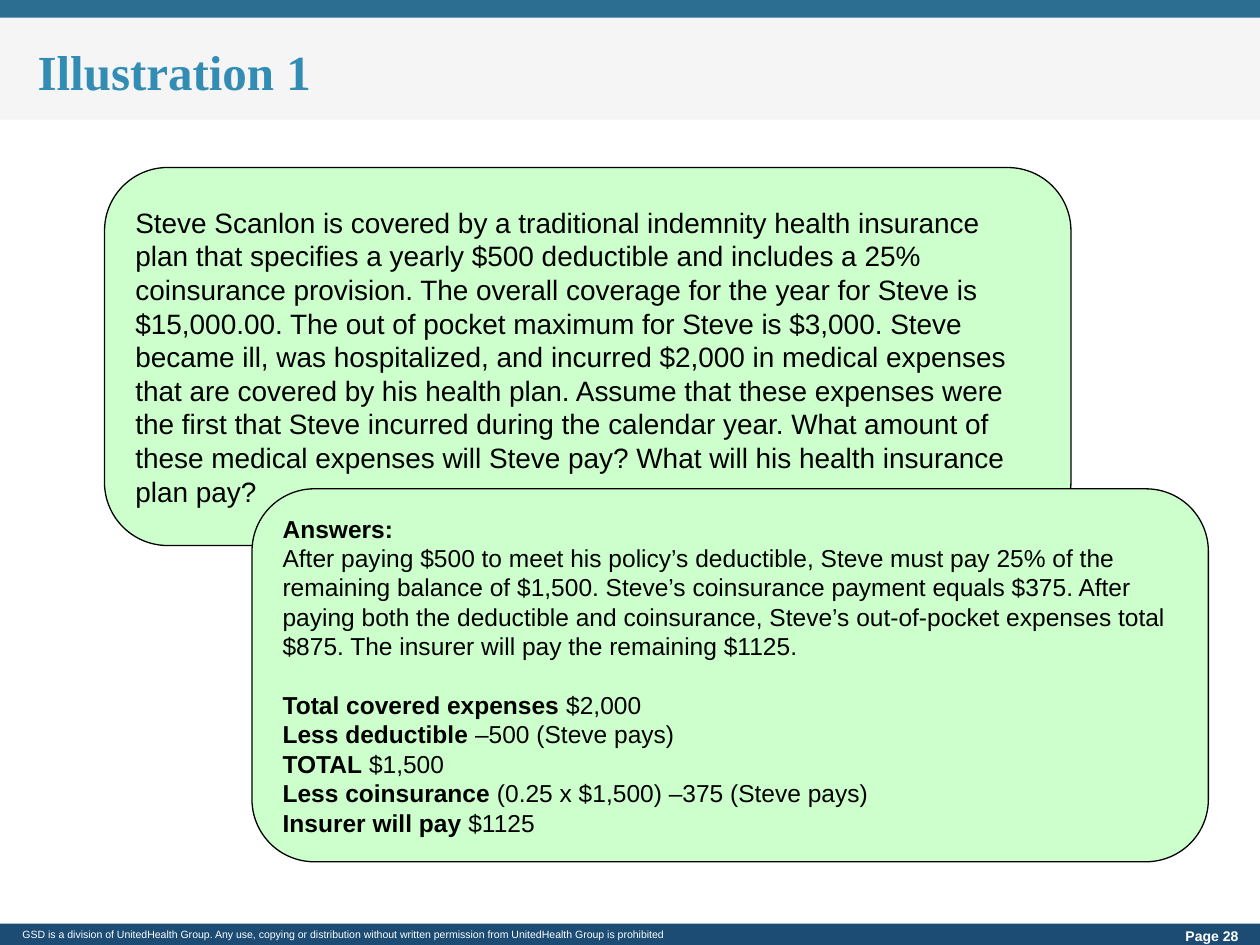
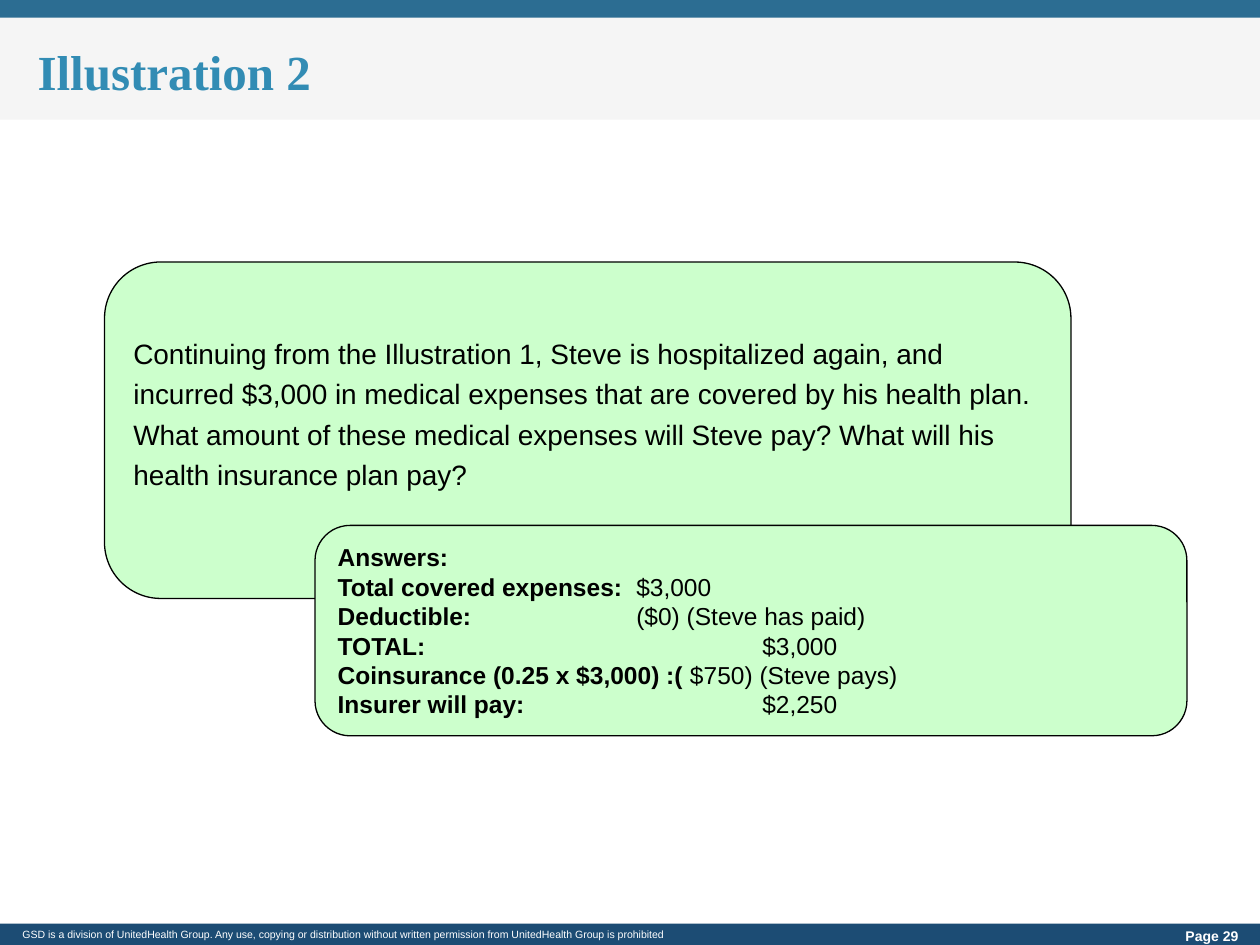
from lxml import etree
from pptx import Presentation
from pptx.dml.color import RGBColor
from pptx.enum.shapes import MSO_SHAPE as SHAPE
from pptx.enum.text import MSO_ANCHOR as ANCHOR, PP_ALIGN as ALIGN
from pptx.oxml.ns import qn
from pptx.util import Inches, Pt

# Content: answer rows are (bold text, plain text, tab stop, space before)
FOOTER = ("GSD is a division of UnitedHealth Group. Any use, copying or distribution "
          "without written permission from UnitedHealth Group is prohibited")
SLIDES = [
    {
        "title": "Illustration 1",
        "page": 28,
        "question_box": (0.83, 1.33, 7.67, 3),
        "question_bottom": 0.05,
        "question": [
            "Steve Scanlon is covered by a traditional indemnity health insurance plan "
            "that specifies a yearly $500 deductible and includes a 25% coinsurance "
            "provision. The overall coverage for the year for Steve is $15,000.00. The "
            "out of pocket maximum for Steve is $3,000. Steve became ill, was "
            "hospitalized, and incurred $2,000 in medical expenses that are covered by "
            "his health plan. Assume that these expenses were the first that Steve "
            "incurred during the calendar year. What amount of these medical expenses "
            "will Steve pay? What will his health insurance plan pay?",
        ],
        "answer_box": (2, 3.88, 7.59, 2.96),
        "answers": [
            ("Answers:", "", None, 0),
            ("", "After paying $500 to meet his policy’s deductible, Steve must pay 25% "
             "of the remaining balance of $1,500. Steve’s coinsurance payment equals "
             "$375. After paying both the deductible and coinsurance, Steve’s "
             "out-of-pocket expenses total $875. The insurer will pay the remaining "
             "$1125.", None, 0),
            ("Total covered expenses", " $2,000", None, 16.7),
            ("Less deductible", " –500 (Steve pays)", None, 0),
            ("TOTAL", " $1,500", None, 0),
            ("Less coinsurance", " (0.25 x $1,500) –375 (Steve pays)", None, 0),
            ("Insurer will pay", " $1125", None, 0),
        ],
    },
    {
        "title": "Illustration 2",
        "page": 29,
        "question_box": (0.83, 2.08, 7.67, 2.67),
        "question_bottom": 0.31,
        "question": [
            "Continuing from the Illustration 1, Steve is hospitalized again, and",
            "incurred $3,000 in medical expenses that are covered by his health plan.",
            "What amount of these medical expenses will Steve pay? What will his",
            "health insurance plan pay?",
        ],
        "answer_box": (2.5, 4.17, 6.92, 1.67),
        "answers": [
            ("Answers:", "", None, 0),
            ("Total covered expenses:\t", "$3,000", 2.37, 0),
            ("Deductible:\t", "($0) (Steve has paid)", 2.37, 0),
            ("TOTAL:\t", "$3,000", 3.37, 0),
            ("Coinsurance (0.25 x $3,000) :(", " $750) (Steve pays)", None, 0),
            ("Insurer will pay:\t", "$2,250", 3.37, 0),
        ],
    },
]

# Shared style
WHITE = RGBColor(0xFF, 0xFF, 0xFF)
BLACK = RGBColor(0, 0, 0)
TITLE_BLUE = RGBColor(0x32, 0x8C, 0xB4)
CARD_GREEN = RGBColor(0xCC, 0xFF, 0xCC)
BANDS = [  # top, height, colour
    (0, 0.95, RGBColor(0xF5, 0xF5, 0xF5)),
    (0, 0.14, RGBColor(0x2C, 0x6D, 0x92)),
    (7.33, 0.17, RGBColor(0x1C, 0x4C, 0x74)),
]


def style(p, size, color, font="Arial", bold=None):
    p.font.size, p.font.name, p.font.bold = Pt(size), font, bold
    p.font.color.rgb = color


def add_filled(slide, kind, box, fill):
    sp = slide.shapes.add_shape(kind, *map(Inches, box))
    sp.shadow.inherit = False
    sp.fill.solid()
    sp.fill.fore_color.rgb = fill
    sp.line.fill.background()
    return sp


def add_label(slide, box, text, size, color, font="Arial", bold=None,
              anchor=ANCHOR.TOP):
    tf = slide.shapes.add_textbox(*map(Inches, box)).text_frame
    tf.word_wrap, tf.vertical_anchor = True, anchor
    tf.text = text
    style(tf.paragraphs[0], size, color, font, bold)


def add_card(slide, box, rows, size, gap=0, bottom=0.05):
    """Rounded green card; each row is bold text, plain text, tab stop, space before."""
    sp = add_filled(slide, SHAPE.ROUNDED_RECTANGLE, box, CARD_GREEN)
    sp.adjustments[0] = 0.167
    sp.line.color.rgb, sp.line.width = BLACK, Pt(0.75)
    tf = sp.text_frame
    tf.word_wrap, tf.vertical_anchor = True, ANCHOR.MIDDLE
    tf.margin_bottom = Inches(bottom)
    for i, (strong, plain, tab, before) in enumerate(rows):
        p = tf.add_paragraph() if i else tf.paragraphs[0]
        p.alignment = ALIGN.LEFT
        if i:
            p.space_before = Pt(before + gap)
        if tab:
            tabs = etree.SubElement(p._p.get_or_add_pPr(), qn("a:tabLst"))
            etree.SubElement(tabs, qn("a:tab"), pos=str(Inches(tab)), algn="l")
        style(p, size, BLACK)
        for text, bold in ((strong, True), (plain, False)):
            if text:
                r = p.add_run()
                r.text, r.font.bold = text, bold


def add_frame(slide, title, page):
    for top, height, color in BANDS:
        add_filled(slide, SHAPE.RECTANGLE, (0, top, 10, height), color)
    add_label(slide, (0.08, 7.32, 8.03, 0.2), FOOTER, 6, WHITE)
    add_label(slide, (9.31, 7.31, 0.85, 0.27), f"Page {page}", 8, WHITE, bold=True)
    add_label(slide, (0.2, 0.23, 7.88, 0.66), title, 28, TITLE_BLUE,
              "Times New Roman", True, ANCHOR.MIDDLE)


def main():
    prs = Presentation()
    prs.slide_width, prs.slide_height = Inches(10), Inches(7.5)
    for s in SLIDES:
        slide = prs.slides.add_slide(prs.slide_layouts[6])
        add_frame(slide, s["title"], s["page"])
        question = [("", line, None, 0) for line in s["question"]]
        add_card(slide, s["question_box"], question, 16, gap=4,
                 bottom=s["question_bottom"])
        add_card(slide, s["answer_box"], s["answers"], 14)
    prs.save("out.pptx")


if __name__ == "__main__":
    main()
